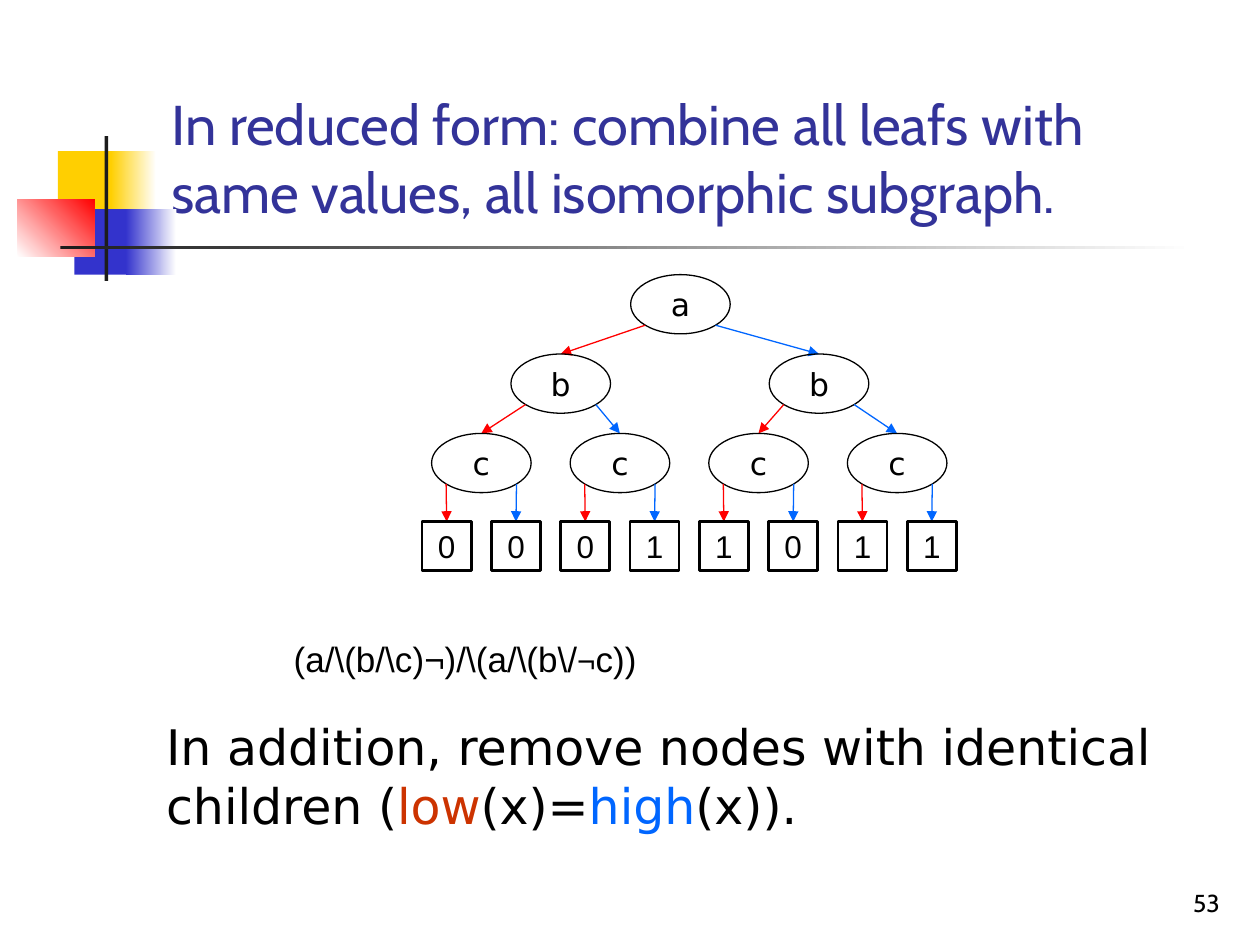
from dataclasses import dataclass
from math import sqrt

from lxml.etree import SubElement
from pptx import Presentation
from pptx.dml.color import RGBColor
from pptx.enum.shapes import MSO_CONNECTOR as Connector, MSO_SHAPE as Preset
from pptx.enum.text import MSO_ANCHOR as Anchor, MSO_AUTO_SIZE as AutoSize, PP_ALIGN as Align
from pptx.oxml.ns import qn
from pptx.util import Inches, Pt


@dataclass(frozen=True)
class Theme:
    """Colours, fonts and type sizes of the slide."""
    ink: str = "000000"
    title: str = "333399"
    low: str = "FF0000"
    high: str = "0066FF"
    low_word: str = "CC3300"
    yellow: str = "FFCF01"
    blue: str = "3333CC"
    dark: str = "1C1C1C"
    white: str = "FFFFFF"
    heading_font: str = "Cabin"
    body_font: str = "DejaVu Sans"
    formula_font: str = "Arial"
    title_size: int = 32
    note_size: int = 28
    formula_size: int = 20
    node_size: int = 18
    number_size: int = 14


THEME = Theme()
NODE_WIDTH, NODE_HEIGHT, LEVEL_STEP = 0.79, 0.47, 0.63
LEAF_SIZE, LEAF_STEP, LEAF_TOP = 0.39, 0.55, 1.96


def write(shape, *runs, size, font=THEME.body_font, color=THEME.ink, align=Align.LEFT,
          anchor=Anchor.TOP, wrap=True, fit=AutoSize.NONE, right_to_left=False):
    """Write one paragraph of runs, each a text or a (text, color, size) tuple."""
    frame = shape.text_frame
    frame.word_wrap, frame.auto_size, frame.vertical_anchor = wrap, fit, anchor
    paragraph = frame.paragraphs[0]
    paragraph.alignment = align
    if right_to_left:
        paragraph._p.get_or_add_pPr().set("rtl", "1")
    for item in runs:
        text, run_color, run_size = (item, color, size) if isinstance(item, str) else item
        run = paragraph.add_run()
        run.text = text
        run.font.size = Pt(run_size)
        run.font.name = font
        run.font.color.rgb = RGBColor.from_string(run_color)
        if right_to_left:
            SubElement(run.font._element, qn("a:cs")).set("typeface", THEME.formula_font)


def add_text(slide, box, *runs, **formatting):
    """Add a text box in the given box."""
    write(slide.shapes.add_textbox(*map(Inches, box)), *runs, **formatting)


def add_block(slide, box, start, end=None, angle=0):
    """Add a borderless rectangle with a plain or gradient fill."""
    shape = slide.shapes.add_shape(Preset.RECTANGLE, *map(Inches, box))
    shape.shadow.inherit = False
    shape.line.fill.background()
    if end is None:
        shape.fill.solid()
        shape.fill.fore_color.rgb = RGBColor.from_string(start)
        return
    shape.fill.gradient()
    shape.fill.gradient_angle = angle
    for stop, color in zip(shape.fill.gradient_stops, (start, end)):
        stop.color.rgb = RGBColor.from_string(color)


def add_node(slide, preset, box, label, line_width):
    """Add an outlined tree node with a centred label."""
    shape = slide.shapes.add_shape(preset, *map(Inches, box))
    shape.shadow.inherit = False
    shape.fill.background()
    shape.line.color.rgb = RGBColor.from_string(THEME.ink)
    shape.line.width = Pt(line_width)
    write(shape, label, size=THEME.node_size, align=Align.CENTER, anchor=Anchor.MIDDLE,
          wrap=False, right_to_left=True)


def add_arrow(slide, start, end, color):
    """Add a thin straight arrow between two points."""
    arrow = slide.shapes.add_connector(Connector.STRAIGHT, *map(Inches, (*start, *end)))
    arrow.line.color.rgb = RGBColor.from_string(color)
    arrow.line.width = Pt(0.75)
    SubElement(arrow.line._get_or_add_ln(), qn("a:tailEnd")).set("type", "triangle")
    SubElement(arrow._element.spPr, qn("a:effectLst"))


def draw_ornament(slide, box):
    """Draw the coloured squares and the crossing rules beside the title."""
    left, top, width, height = box
    blocks = [
        ((0.32, 0.12, 0.48, 0.52), THEME.yellow),
        ((0.74, 0.12, 0.36, 0.52), THEME.yellow, THEME.white),
        ((0.45, 0.58, 0.46, 0.52), THEME.blue),
        ((0.86, 0.58, 0.4, 0.52), THEME.blue, THEME.white),
        ((0, 0.5, 0.61, 0.46), THEME.white, THEME.low, 45),
        ((0.69, 0, 0.03, height), THEME.dark),
        ((0.34, 0.87, width - 0.34, 0.03), THEME.dark, THEME.white),
    ]
    for (x, y, block_width, block_height), *fill in blocks:
        add_block(slide, (left + x, top + y, block_width, block_height), *fill)


def draw_title(slide, box, text):
    """Place and fill the title placeholder."""
    title = slide.shapes.title
    title.left, title.top, title.width, title.height = map(Inches, box)
    write(title, text, size=THEME.title_size, font=THEME.heading_font,
          color=THEME.title, anchor=Anchor.BOTTOM)


def draw_tree(slide, box, leaves):
    """Draw the decision tree with low edges in red and high edges in blue."""
    left, top = box[:2]
    leaf_centers = [left + LEAF_SIZE / 2 + LEAF_STEP * index for index in range(len(leaves))]
    c_centers = [sum(pair) / 2 for pair in zip(leaf_centers[::2], leaf_centers[1::2])]
    levels = [("a", [left + 2.05]), ("b", [left + 1.1, left + 3.15]), ("c", c_centers)]
    child_rows = [centers for _, centers in levels[1:]] + [leaf_centers]

    for depth, ((label, centers), children) in enumerate(zip(levels, child_rows)):
        node_top = top + LEVEL_STEP * depth
        child_top = top + (LEAF_TOP if children is leaf_centers else LEVEL_STEP * (depth + 1))
        edge_x = NODE_WIDTH / 2 / sqrt(2)
        edge_y = node_top + NODE_HEIGHT / 2 * (1 + 1 / sqrt(2))
        for index, center in enumerate(centers):
            add_node(slide, Preset.OVAL,
                     (center - NODE_WIDTH / 2, node_top, NODE_WIDTH, NODE_HEIGHT), label, 0.75)
            for side, color in enumerate((THEME.low, THEME.high)):
                start = (center + (2 * side - 1) * edge_x, edge_y)
                add_arrow(slide, start, (children[2 * index + side], child_top), color)

    for center, value in zip(leaf_centers, leaves):
        add_node(slide, Preset.RECTANGLE,
                 (center - LEAF_SIZE / 2, top + LEAF_TOP, LEAF_SIZE, LEAF_SIZE), value, 1.5)


def draw_formula(slide, box):
    """Write the Boolean formula under the tree."""
    add_text(slide, box, r"(a/\(b\/", ("¬", THEME.ink, THEME.node_size), r"c))\/(¬a/\(b/\c))",
             size=THEME.formula_size, font=THEME.formula_font, align=Align.RIGHT,
             fit=AutoSize.SHAPE_TO_FIT_TEXT, right_to_left=True)


def draw_note(slide, box):
    """Write the rule for removing redundant nodes."""
    add_text(slide, box, "In addition, remove nodes with identical children (",
             ("low", THEME.low_word, THEME.note_size), "(x)=",
             ("high", THEME.high, THEME.note_size), "(x)).",
             size=THEME.note_size, fit=AutoSize.SHAPE_TO_FIT_TEXT)


def draw_number(slide, box, number):
    """Write the slide number."""
    add_text(slide, box, number, size=THEME.number_size, font=THEME.heading_font,
             align=Align.RIGHT, anchor=Anchor.BOTTOM)


def main():
    """Build and save the slide."""
    presentation = Presentation()
    presentation.slide_width, presentation.slide_height = Inches(10), Inches(7.5)
    slide = presentation.slides.add_slide(presentation.slide_layouts[5])
    draw_ornament(slide, (0.14, 1.08, 9.34, 1.15))
    draw_number(slide, (7.7, 6.83, 2.08, 0.5), "53")
    draw_title(slide, (1.26, 0.23, 8.52, 1.6),
               "In reduced form: combine all leafs with same values, all isomorphic subgraph.")
    draw_tree(slide, (3.35, 2.18, 4.24, 2.35), "00011011")
    draw_formula(slide, (1.61, 5.01, 3.54, 0.44))
    draw_note(slide, (1.22, 5.64, 8.03, 1.04))
    presentation.save("out.pptx")


if __name__ == "__main__":
    main()
